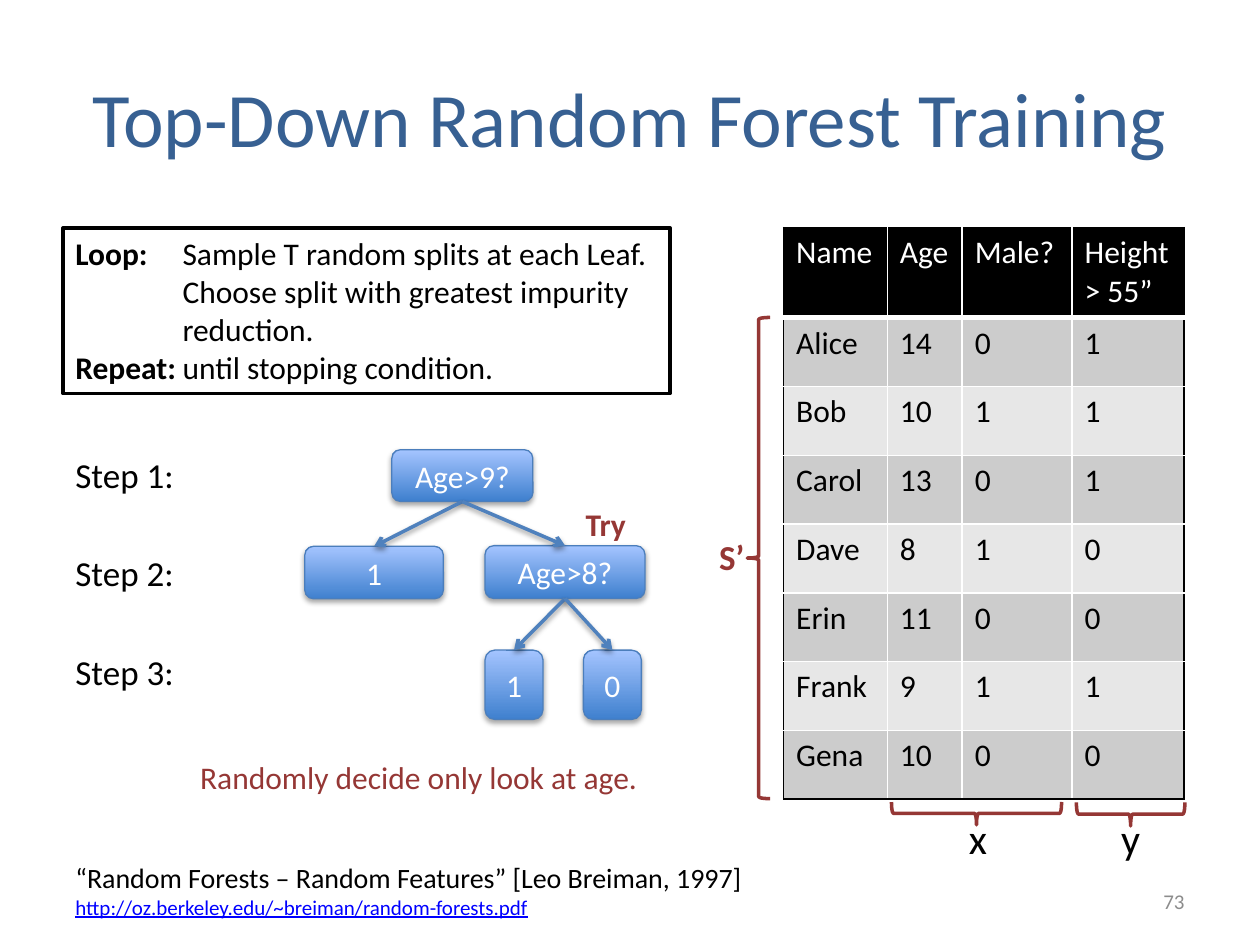
from lxml import etree
from pptx import Presentation
from pptx import util as u
from pptx.dml.color import RGBColor
from pptx.enum import shapes, text
from pptx.oxml.ns import qn

COLORS = {
    "title": "376092", "ink": "000000", "paper": "FFFFFF", "accent": "953735",
    "number": "8C8C8C", "link": "0000FF", "node_low": "3F80CE", "node_high": "A4C4FF",
    "node_line": "4B7EBC", "arrow": "4F81BD", "band_dark": "CCCCCC", "band_light": "E7E7E7",
}
LEFT, CENTER, RIGHT = text.PP_ALIGN.LEFT, text.PP_ALIGN.CENTER, text.PP_ALIGN.RIGHT


def color(name):
    return RGBColor.from_string(COLORS[name])


def add_xml(parent, tag, **attributes):
    return etree.SubElement(parent, qn(tag), {key: str(value) for key, value in attributes.items()})


class SlideBuilder:
    """Holds the style and the current slide, and adds each kind of element in points."""

    font = "Calibri"

    def __init__(self, slide):
        self.slide = slide

    def style(self, paragraph, size, ink="ink", bold=False, align=LEFT):
        paragraph.alignment = align
        font = paragraph.font
        font.name, font.size, font.bold = self.font, u.Pt(size), bold
        font.color.rgb = color(ink)

    def outline(self, shape, ink, width):
        shape.line.color.rgb = color(ink)
        shape.line.width = u.Pt(width)

    def shadow(self, shape, blur, distance, opacity):
        effects = add_xml(shape._element.spPr, "a:effectLst")
        outer = add_xml(effects, "a:outerShdw", blurRad=u.Pt(blur), dist=u.Pt(distance),
                        dir=90 * 60000, rotWithShape=0)
        shade = add_xml(outer, "a:srgbClr", val=COLORS["ink"])
        add_xml(shade, "a:alpha", val=opacity * 1000)

    def title(self, words, box):
        shape = self.slide.shapes.title
        shape.left, shape.top, shape.width, shape.height = map(u.Pt, box)
        shape.text_frame.text = words
        shape.text_frame.vertical_anchor = text.MSO_ANCHOR.MIDDLE
        self.style(shape.text_frame.paragraphs[0], 44, "title", align=CENTER)

    def label(self, words, box, size, ink="ink", bold=False, align=LEFT, wrap=False):
        shape = self.slide.shapes.add_textbox(*map(u.Pt, box))
        shape.text_frame.word_wrap = wrap
        shape.text_frame.text = words
        for paragraph in shape.text_frame.paragraphs:
            self.style(paragraph, size, ink, bold, align)
        return shape

    def algorithm(self, steps, box, indent):
        shape = self.label("\n".join(words for _, words in steps), box, 18, wrap=True)
        self.outline(shape, "ink", 2)
        for paragraph, (keyword, words) in zip(shape.text_frame.paragraphs, steps):
            properties = paragraph._p.get_or_add_pPr()
            properties.set("marL", str(u.Pt(indent)))
            properties.set("indent", str(u.Pt(-indent if keyword else 0)))
            if keyword:
                paragraph.runs[0].text = keyword
                paragraph.runs[0].font.bold = True
                paragraph.add_run().text = "\t" + words

    def node(self, words, box):
        shape = self.slide.shapes.add_shape(shapes.MSO_SHAPE.ROUNDED_RECTANGLE, *map(u.Pt, box))
        shape.fill.gradient()
        shape.fill.gradient_angle = 90
        for stop, name, position in zip(shape.fill.gradient_stops, ("node_low", "node_high"), (0, 1)):
            stop.color.rgb = color(name)
            stop.position = position
        self.outline(shape, "node_line", 0.75)
        self.shadow(shape, 3.1, 1.8, 35)
        shape.text_frame.text = words
        shape.text_frame.vertical_anchor = text.MSO_ANCHOR.MIDDLE
        self.style(shape.text_frame.paragraphs[0], 18, "paper", align=CENTER)
        return shape

    def branch(self, parent, child):
        connector = self.slide.shapes.add_connector(shapes.MSO_CONNECTOR.STRAIGHT, 0, 0, 0, 0)
        connector.begin_connect(parent, 2)
        connector.end_connect(child, 0)
        self.outline(connector, "arrow", 2)
        add_xml(connector.line._get_or_add_ln(), "a:tailEnd", type="arrow")
        self.shadow(connector, 3.1, 1.6, 38)

    def brace(self, box, rotation=0):
        shape = self.slide.shapes.add_shape(shapes.MSO_SHAPE.LEFT_BRACE, *map(u.Pt, box))
        shape.rotation = rotation
        shape.fill.background()
        shape.shadow.inherit = False
        self.outline(shape, "accent", 2)

    def border(self, cell, side, ink, width):
        line = add_xml(cell._tc.get_or_add_tcPr(), f"a:ln{side}", w=u.Pt(width))
        add_xml(add_xml(line, "a:solidFill"), "a:srgbClr", val=COLORS[ink])

    def table(self, rows, left, top, widths, heights):
        frame = self.slide.shapes.add_table(len(rows), len(widths), u.Pt(left), u.Pt(top),
                                            u.Pt(sum(widths)), u.Pt(sum(heights)))
        table = frame.table
        for column, width in zip(table.columns, widths):
            column.width = u.Pt(width)
        for row, height in zip(table.rows, heights):
            row.height = u.Pt(height)
        last_row, last_column = len(rows) - 1, len(widths) - 1
        for i, values in enumerate(rows):
            for j, value in enumerate(values):
                cell = table.cell(i, j)
                cell.text = value
                self.style(cell.text_frame.paragraphs[0], 18, "ink" if i else "paper")
                edges = {"L": j == 0, "R": j == last_column, "T": i == 0, "B": i == last_row}
                for side, outer in edges.items():
                    below_header = (i, side) in ((0, "B"), (1, "T"))
                    self.border(cell, side, "ink" if outer else "paper", 3 if below_header else 1)
                cell.fill.solid()
                band = "band_dark" if i % 2 else "band_light"
                cell.fill.fore_color.rgb = color(band if i else "ink")


def main():
    presentation = Presentation()
    presentation.slide_width, presentation.slide_height = u.Pt(720), u.Pt(540)
    builder = SlideBuilder(presentation.slides.add_slide(presentation.slide_layouts[5]))
    builder.title("Top-Down Random Forest Training", (36, 21.6, 648, 90))

    people = [
        ("Name", "Age", "Male?", "Height > 55”"),
        ("Alice", "14", "0", "1"),
        ("Bob", "10", "1", "1"),
        ("Carol", "13", "0", "1"),
        ("Dave", "8", "1", "0"),
        ("Erin", "11", "0", "0"),
        ("Frank", "9", "1", "1"),
        ("Gena", "10", "0", "0"),
    ]
    builder.table(people, 447.8, 130, (59.3, 42.8, 62.8, 64), [51.6] + [39.3] * 7)

    builder.brace((427, 181.4, 13, 275))
    builder.brace((551.5, 416.2, 13, 97.2), 270)
    builder.brace((639.4, 434.2, 13.4, 62), 270)
    builder.label("S’", (403.9, 302.4, 29.5, 31.5), 20, "accent", True)
    builder.label("x", (546.5, 460.8, 25.2, 36.3), 24)
    builder.label("y", (633.6, 460.8, 25.9, 36.3), 24)

    builder.algorithm([
        ("Loop:", "Sample T random splits at each Leaf."),
        ("", "Choose split with greatest impurity"),
        ("", "reduction."),
        ("Repeat:", "until stopping condition."),
    ], (36, 130.4, 347, 94.5), 61.2)

    for number, top in enumerate((255.6, 311.8, 367.9), 1):
        builder.label(f"Step {number}:", (36, top, 71.3, 31.5), 20)

    root = builder.node("Age>9?", (223.9, 257, 80.6, 29.6))
    root_leaf = builder.node("1", (174.2, 312.2, 79.2, 30))
    split = builder.node("Age>8?", (277.2, 311.8, 91.4, 30.2))
    split_leaves = [builder.node(words, (left, 371.5, 33.1, 39.6))
                    for words, left in (("1", 277.2), ("0", 333.4))]
    for parent, children in ((root, (root_leaf, split)), (split, split_leaves)):
        for child in children:
            builder.branch(parent, child)
    builder.label("Try", (327.6, 285.1, 38.9, 29.1), 18, "accent", True)
    builder.label("Randomly decide only look at age.", (107.3, 429.8, 267.1, 29.1), 18, "accent")

    source = builder.label("“Random Forests – Random Features” [Leo Breiman, 1997]\n"
                           "http://oz.berkeley.edu/~breiman/random-forests.pdf",
                           (36, 488.2, 401.8, 41.2), 16)
    address = source.text_frame.paragraphs[1]
    builder.style(address, 12, "link")
    address.font.underline = True

    page = builder.label("73", (516.2, 500.4, 167.8, 28.8), 12, "number", align=RIGHT, wrap=True)
    page.text_frame.vertical_anchor = text.MSO_ANCHOR.MIDDLE
    presentation.save("out.pptx")


if __name__ == "__main__":
    main()
